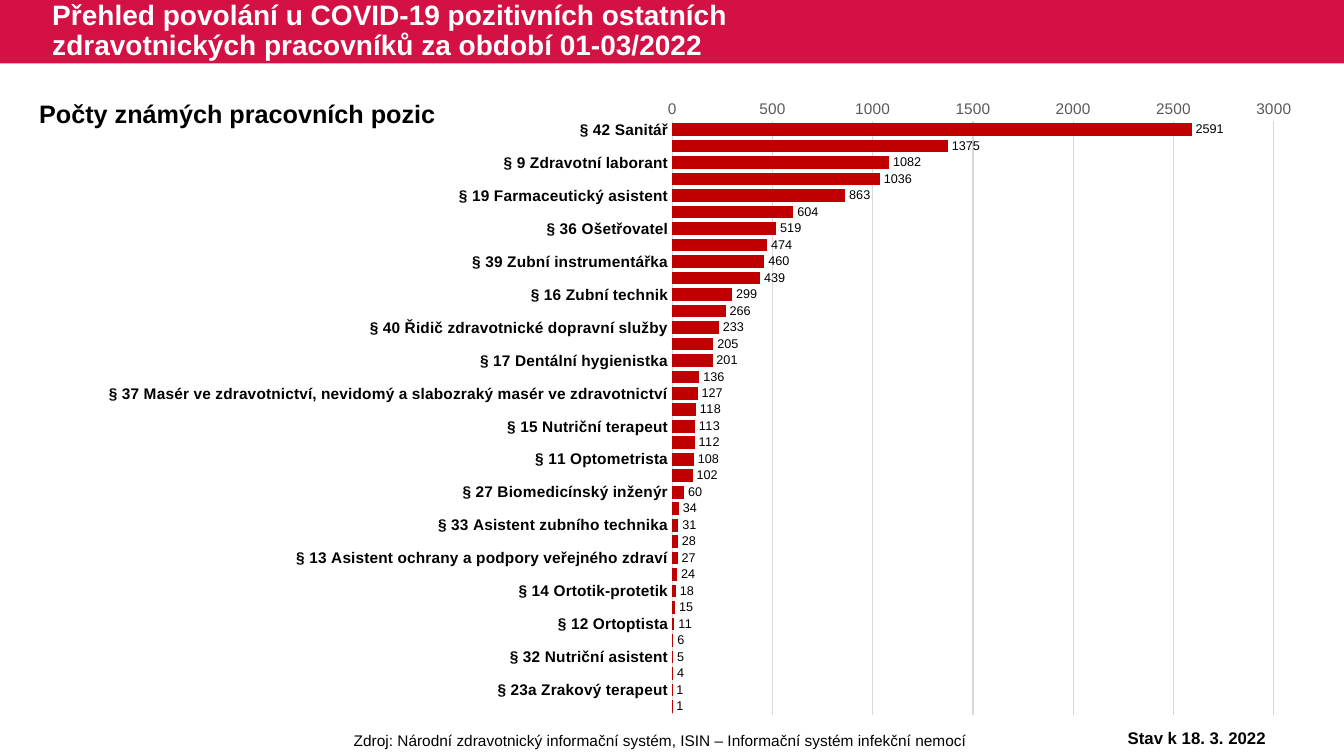
from pptx import Presentation
from pptx.chart.data import CategoryChartData
from pptx.dml.color import RGBColor
from pptx.enum.chart import XL_CHART_TYPE as ChartType, XL_LABEL_POSITION as LabelPos, XL_TICK_MARK as Tick
from pptx.enum.shapes import MSO_SHAPE as Shape
from pptx.enum.text import MSO_ANCHOR as Anchor, PP_ALIGN as Align
from pptx.oxml import parse_xml
from pptx.oxml.ns import nsdecls, qn
from pptx.util import Inches, Pt

BLACK = RGBColor(0x00, 0x00, 0x00)
WHITE = RGBColor(0xFF, 0xFF, 0xFF)
CRIMSON = RGBColor(0xD3, 0x11, 0x45)
RED = RGBColor(0xC0, 0x00, 0x00)
GRAY = RGBColor(0x59, 0x59, 0x59)
LIGHT = RGBColor(0xD9, 0xD9, 0xD9)
FONT = "Arial"
HEADER_HEIGHT = 0.63

positions = [
    ("§ 42 Sanitář", 2591),
    ("§ 24 Fyzioterapeut", 1375),
    ("§ 9 Zdravotní laborant", 1082),
    ("farmaceut", 1036),
    ("§ 19 Farmaceutický asistent", 863),
    ("§ 18 Zdravotnický záchranář", 604),
    ("§ 36 Ošetřovatel", 519),
    ("§ 26 Odborný pracovník v laboratorních metodách a v přípravě léčivých přípravků", 474),
    ("§ 39 Zubní instrumentářka", 460),
    ("§ 8 Radiologický asistent", 439),
    ("§ 16 Zubní technik", 299),
    ("§ 22 Psycholog ve zdravotnictví", 266),
    ("§ 40 Řidič zdravotnické dopravní služby", 233),
    ("§ 35 Řidič vozidla zdravotnické záchranné služby", 205),
    ("§ 17 Dentální hygienistka", 201),
    ("§ 7 Ergoterapeut", 136),
    ("§ 37 Masér ve zdravotnictví, nevidomý a slabozraký masér ve zdravotnictví", 127),
    ("§ 30 Laboratorní asistent", 118),
    ("§ 15 Nutriční terapeut", 113),
    ("§ 23 Logoped ve zdravotnictví", 112),
    ("§ 11 Optometrista", 108),
    ("§ 10 Zdravotně-sociální pracovník", 102),
    ("§ 27 Biomedicínský inženýr", 60),
    ("§ 28 Odborný pracovník v ochraně a podpoře veřejného zdraví", 34),
    ("§ 33 Asistent zubního technika", 31),
    ("§ 21a Adiktolog", 28),
    ("§ 13 Asistent ochrany a podpory veřejného zdraví", 27),
    ("§ 25 Radiologický fyzik", 24),
    ("§ 14 Ortotik-protetik", 18),
    ("§ 20 Biomedicínský technik", 15),
    ("§ 12 Ortoptista", 11),
    ("§ 31 Ortoticko-protetický technik", 6),
    ("§ 32 Nutriční asistent", 5),
    ("§ 21 Radiologický technik", 4),
    ("§ 23a Zrakový terapeut", 1),
    ("§ 41 Autoptický laborant", 1),
]


def style(font, size, color, bold=False):
    font.name = FONT
    font.size = Pt(size)
    font.bold = bold
    font.color.rgb = color


prs = Presentation()
prs.slide_width = Inches(13.33)
prs.slide_height = Inches(7.5)
slide = prs.slides.add_slide(prs.slide_layouts[6])

header = slide.shapes.add_shape(Shape.RECTANGLE, 0, 0, prs.slide_width, Inches(HEADER_HEIGHT))
header.shadow.inherit = False
header.fill.solid()
header.fill.fore_color.rgb = CRIMSON
header.line.fill.background()

counts = CategoryChartData()
counts.categories = [name for name, count in positions]
counts.add_series("Počet", [count for name, count in positions])
chart = slide.shapes.add_chart(
    ChartType.BAR_CLUSTERED, Inches(0.04), Inches(0.8), Inches(12.97), Inches(6.42), counts
).chart
chart.has_legend = False
chart.has_title = False
style(chart.font, 10, BLACK)

bars = chart.plots[0]
bars.gap_width = 30
bars.overlap = 100
bars.vary_by_categories = False
bars.series[0].format.fill.solid()
bars.series[0].format.fill.fore_color.rgb = RED
bars.has_data_labels = True
labels = bars.data_labels
labels.show_value = True
labels.position = LabelPos.OUTSIDE_END
style(labels.font, 9, BLACK)

jobs = chart.category_axis
jobs.reverse_order = True
jobs.format.line.color.rgb = LIGHT
jobs.format.line.width = Pt(0.75)
style(jobs.tick_labels.font, 11, BLACK, True)

scale = chart.value_axis
scale.minimum_scale = 0
scale.maximum_scale = 3000
scale.major_unit = 500
scale.format.line.fill.background()
scale.has_major_gridlines = True
scale.major_gridlines.format.line.color.rgb = LIGHT
scale.major_gridlines.format.line.width = Pt(0.75)
style(scale.tick_labels.font, 11, GRAY)

for axis in (jobs, scale):
    axis.major_tick_mark = Tick.NONE
    axis.minor_tick_mark = Tick.NONE

plot_area = chart.element.find(".//" + qn("c:plotArea"))
for layout in plot_area.findall(qn("c:layout")):
    plot_area.remove(layout)
plot_area.insert(0, parse_xml(
    f'<c:layout {nsdecls("c")}><c:manualLayout><c:layoutTarget val="inner"/>'
    '<c:xMode val="edge"/><c:yMode val="edge"/><c:x val="0.511"/><c:y val="0.063"/>'
    '<c:w val="0.46"/><c:h val="0.917"/></c:manualLayout></c:layout>'
))

texts = [
    ("Přehled povolání u COVID-19 pozitivních ostatních zdravotnických pracovníků za období 01-03/2022",
     (0.42, 0, 8.26, HEADER_HEIGHT), 20, WHITE, True, Align.LEFT, Anchor.MIDDLE, 0.9, True),
    ("Počty známých pracovních pozic",
     (0.29, 0.93, 4.16, 0.4), 18, BLACK, True, Align.LEFT, Anchor.TOP, 1.0, False),
    ("Zdroj: Národní zdravotnický informační systém, ISIN – Informační systém infekční nemocí",
     (2.36, 7.2, 8.38, 0.29), 11, BLACK, False, Align.CENTER, Anchor.TOP, 1.0, True),
    ("Stav k 18. 3. 2022",
     (10.77, 7.17, 2.2, 0.3), 12, BLACK, True, Align.CENTER, Anchor.TOP, 1.0, True),
]
for words, place, size, color, bold, align, anchor, spacing, wrap in texts:
    frame = slide.shapes.add_textbox(*map(Inches, place)).text_frame
    frame.word_wrap = wrap
    frame.vertical_anchor = anchor
    paragraph = frame.paragraphs[0]
    paragraph.alignment = align
    paragraph.line_spacing = spacing
    run = paragraph.add_run()
    run.text = words
    style(run.font, size, color, bold)

prs.save("out.pptx")
